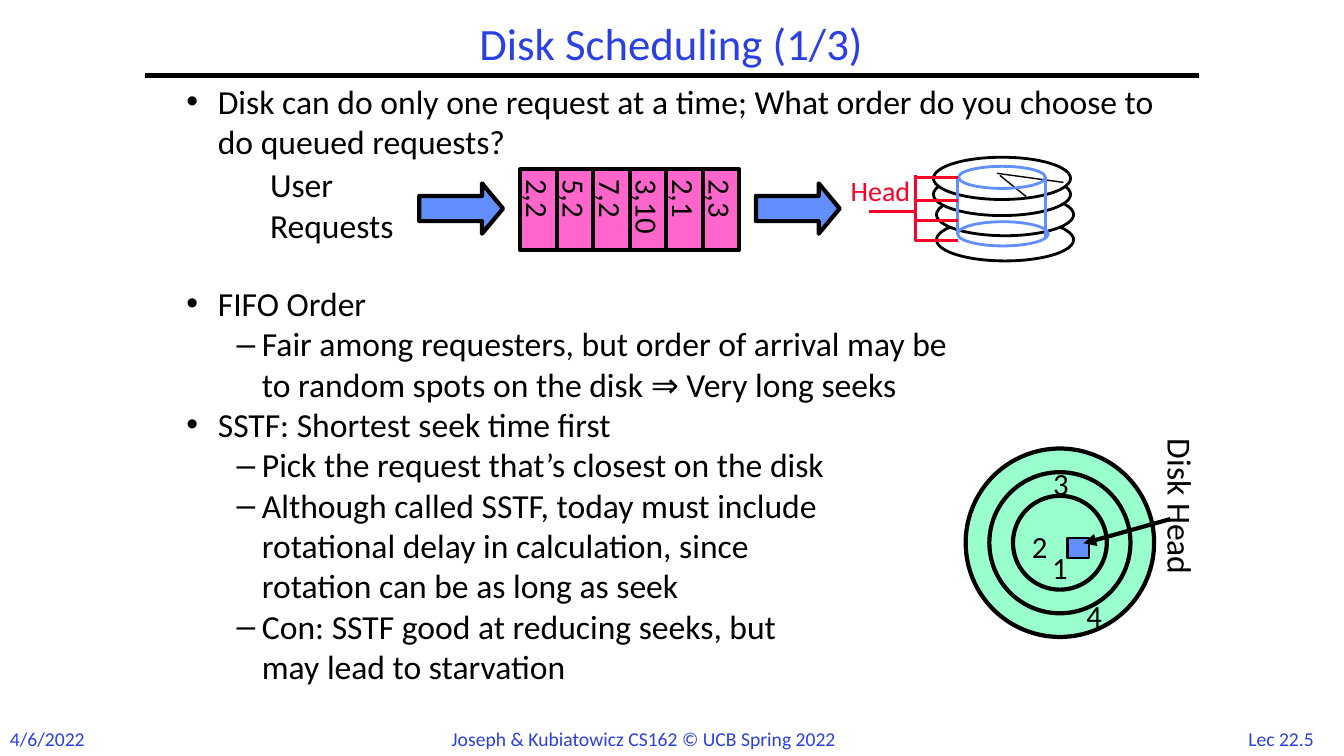
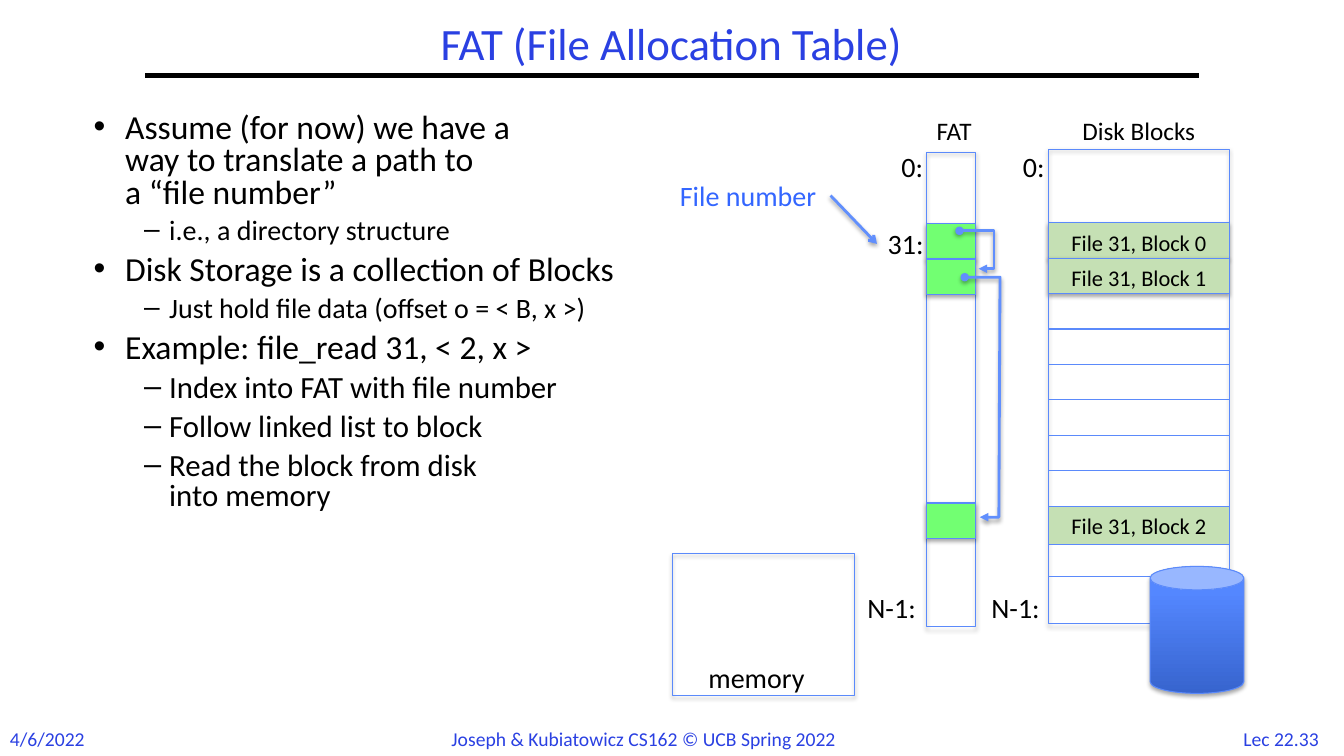
import pptx
import pptx.util
import pptx.dml.color
import pptx.enum.dml
import pptx.enum.shapes
import pptx.enum.text
import pptx.oxml.ns
import lxml.etree

Pt = pptx.util.Pt
SHAPE = pptx.enum.shapes.MSO_SHAPE
ALIGN = pptx.enum.text.PP_ALIGN
ANCHOR = pptx.enum.text.MSO_ANCHOR
qn = pptx.oxml.ns.qn

FONT = "Calibri"
COLORS = {
    "title": "2A40E2", "ink": "000000", "white": "FFFFFF", "pink": "FF66CC",
    "blue": "618FFD", "outline": "5B8AFB", "red": "FC0128", "mint": "99FFCC",
    "entry": "72FF72", "block": "C5E0B4", "link": "3366FF",
    "can_dark": "3764CE", "can_light": "5487FF",
}


def rgb(name):
    return pptx.dml.color.RGBColor.from_string(COLORS[name])


def inside(box, x, y, width=0, height=0):
    return box[0] + x, box[1] + y, width, height


def set_line(shape, color, width):
    shape.line.color.rgb = rgb(color)
    shape.line.width = Pt(width)


def set_ends(shape, head=None, tail=None):
    outline = shape.line._get_or_add_ln()
    for tag, kind in (("a:headEnd", head), ("a:tailEnd", tail)):
        if kind:
            lxml.etree.SubElement(outline, qn(tag), type=kind)


def set_shadow(shape, shown):
    properties = shape._element.spPr
    effects = properties.find(qn("a:effectLst"))
    if effects is None:
        effects = lxml.etree.SubElement(properties, qn("a:effectLst"))
    if shown:
        shadow = lxml.etree.SubElement(
            effects, qn("a:outerShdw"), blurRad=str(Pt(3.1)), dist=str(Pt(1.8)),
            dir="5400000", rotWithShape="0")
        tint = lxml.etree.SubElement(shadow, qn("a:srgbClr"), val=COLORS["ink"])
        lxml.etree.SubElement(tint, qn("a:alpha"), val="35000")


def style_para(para, size, color="ink", align=ALIGN.LEFT):
    para.alignment = align
    for span in para.runs:
        span.font.name = FONT
        span.font.size = Pt(size)
        span.font.color.rgb = rgb(color)


def fill_frame(frame, text, size, color, align, margins=(7.2, 3.6)):
    frame.margin_left = frame.margin_right = Pt(margins[0])
    frame.margin_top = frame.margin_bottom = Pt(margins[1])
    frame.text = text
    for para in frame.paragraphs:
        style_para(para, size, color, align)


def add_label(page, box, text, size, color="ink", align=ALIGN.CENTER, margins=(7.2, 3.6)):
    label = page.shapes.add_textbox(*map(Pt, box))
    fill_frame(label.text_frame, text, size, color, align, margins)
    label.text_frame.word_wrap = False
    label.text_frame.auto_size = pptx.enum.text.MSO_AUTO_SIZE.SHAPE_TO_FIT_TEXT
    return label


def add_shape(page, kind, box, fill=None, line="ink", width=3, shadow=False):
    shape = page.shapes.add_shape(kind, *map(Pt, box))
    shape.shadow.inherit = False
    if fill:
        shape.fill.solid()
        shape.fill.fore_color.rgb = rgb(fill)
    else:
        shape.fill.background()
    set_line(shape, line, width)
    set_shadow(shape, shadow)
    return shape


def add_cell(page, box, fill=None, shadow=False):
    return add_shape(page, SHAPE.RECTANGLE, box, fill, "outline", 0.75, shadow)


def add_line(page, box, start, end, color="ink", width=2, tail=None, shadow=False):
    points = [*inside(box, *start)[:2], *inside(box, *end)[:2]]
    line = page.shapes.add_connector(
        pptx.enum.shapes.MSO_CONNECTOR.STRAIGHT, *map(Pt, points))
    set_line(line, color, width)
    set_ends(line, tail=tail)
    set_shadow(line, shadow)


def add_link(page, box, points):
    corners = [tuple(map(Pt, inside(box, *point)[:2])) for point in points]
    builder = page.shapes.build_freeform(*corners[0])
    builder.add_line_segments(corners[1:], close=False)
    link = builder.convert_to_shape()
    link.shadow.inherit = False
    link.fill.background()
    set_line(link, "blue", 2)
    set_ends(link, "oval", "triangle")
    set_shadow(link, True)


def add_page(deck, title, number):
    page = deck.slides.add_slide(deck.slide_layouts[6])
    add_label(page, (876.2, 515.5, 77.8, 24), number, 14, "title")
    add_label(page, (0, 515.5, 69, 24.5), "4/6/2022", 14, "title", ALIGN.LEFT)
    add_label(page, (315.4, 515.5, 327.6, 24.5),
              "Joseph & Kubiatowicz CS162 © UCB Spring 2022", 14, "title", ALIGN.LEFT)
    add_line(page, (103.7, 54), (0, 0), (752.4, 0), width=3)
    heading = page.shapes.add_textbox(*map(Pt, (103.7, 12.2, 751.7, 41.8)))
    frame = heading.text_frame
    frame.word_wrap = True
    frame.vertical_anchor = ANCHOR.MIDDLE
    fill_frame(frame, title, 32, "title", ALIGN.CENTER)
    frame.paragraphs[0].line_spacing = 0.9
    return page


def add_bullets(page, box, items, spacing=1.0):
    frame = page.shapes.add_textbox(*map(Pt, box)).text_frame
    frame.word_wrap = True
    for index, (level, size, before, text) in enumerate(items):
        para = frame.add_paragraph() if index else frame.paragraphs[0]
        para.text = text
        para.level = level
        para.line_spacing = spacing
        para.space_before = Pt(before)
        style_para(para, size)
        left, hang, mark = ((22.5, 22.5, "•"), (54, 18, "–"))[level]
        properties = para._p.get_or_add_pPr()
        properties.set("marL", str(Pt(left)))
        properties.set("indent", str(-Pt(hang)))
        lxml.etree.SubElement(properties, qn("a:buFont"), typeface="Arial")
        lxml.etree.SubElement(properties, qn("a:buChar"), char=mark)


def draw_queue(page, box, requests):
    left, top, width, height = box
    step = width / len(requests)
    for index, request in enumerate(requests):
        cell = add_shape(page, SHAPE.RECTANGLE, (left + index * step, top, step, height), "pink")
        frame = cell.text_frame
        fill_frame(frame, request, 22, "ink", ALIGN.LEFT)
        frame.word_wrap = False
        frame.vertical_anchor = ANCHOR.MIDDLE
        frame._txBody.bodyPr.set("vert", "eaVert")


def draw_arrow(page, box):
    arrow = add_shape(page, SHAPE.RIGHT_ARROW, box, "blue")
    arrow.adjustments[0] = 0.5
    arrow.adjustments[1] = 0.417


def draw_platters(page, box):
    for x, y in ((68.9, 46.2), (68.9, 28.2), (66.7, 13.8), (66.7, 2.3)):
        add_shape(page, SHAPE.OVAL, inside(box, x, y, 98, 30.2), "white", width=2)
    add_line(page, box, (114.2, 15.3), (133, 30.4), width=1)
    add_line(page, box, (112.1, 13.8), (159.6, 20.3), width=1)
    for oval in ((84, 48.4, 64.8, 17.3), (84.7, 8.8, 62, 15.8)):
        add_shape(page, SHAPE.OVAL, inside(box, *oval), None, "blue", 2)
    for x, bottom in ((84, 57), (146.6, 59.9)):
        add_line(page, box, (x, 16.7), (x, bottom), "blue")
    head = add_label(page, inside(box, 2.6, 15.3, 58.3, 24.5), "Head", 20, "red",
                     ALIGN.LEFT, (5, 2.2))
    head.text_frame.paragraphs[0].line_spacing = 0.85
    add_line(page, box, (53.8, 15.3), (53.8, 62), "red")
    for y in (16.7, 33.3, 47.7, 62):
        add_line(page, box, (53.8, y), (84, y), "red")
    add_line(page, box, (54.5, 41.2), (20.6, 41.2), "red")


def draw_tracks(page, box):
    for ring in range(3):
        inset = ring * 16.9
        size = box[2] - 2 * inset
        add_shape(page, SHAPE.OVAL, inside(box, inset, inset, size, size), "mint")
    add_shape(page, SHAPE.RECTANGLE, inside(box, 72.7, 64.1, 15.1, 14.4), "blue", width=1.5)
    for text, x, y in (("1", 54.7, 67.7), ("4", 79.2, 102.2), ("2", 40.3, 53.3), ("3", 55.4, 7.9)):
        add_label(page, inside(box, x, y, 26.6, 33.8), text, 22, align=ALIGN.LEFT)
    caption = add_label(page, inside(box, 90.7, 31, 126, 36), "Disk Head", 24, align=ALIGN.LEFT)
    caption.rotation = 90
    add_line(page, box, (146.2, 50.4), (84.2, 67.7), width=3, tail="triangle")


def draw_fat(page, box):
    width, row = box[2], 25.3
    add_cell(page, box, shadow=True)
    for y in (51.1, 76.3, 250.6):
        add_cell(page, inside(box, 0, y, width, row), "entry", True)
    add_label(page, inside(box, -3.6, -30.2, 46.8, 28.8), "FAT", 18)
    for text, x, y, span_width in (
            ("0:", -25.9, -5.7, 31.7), ("31:", -36, 49.7, 42.5), ("N-1:", -51.1, 309.6, 52.6)):
        add_label(page, inside(box, x, y, span_width, 31.7), text, 20)
    add_label(page, inside(box, -187.9, 15.1, 121, 31.7), "File number", 20, "link")
    add_line(page, box, (-68.4, 31), (-35.3, 65.5), "blue", tail="arrow", shadow=True)
    add_link(page, box, ((23.7, 56.2), (48.3, 56.2), (48.3, 83.3), (37.4, 83.3)))
    add_link(page, box, ((27.4, 89.3), (52.6, 89.3), (51.8, 260.7), (38.2, 260.7)))


def draw_disk_blocks(page, box):
    width, first, row = box[2], 52.5, 25.3
    file_blocks = {0: "File 31, Block 0", 1: "File 31, Block 1", 8: "File 31, Block 2"}
    add_cell(page, box, shadow=True)
    for index in range(8):
        fill = "block" if index in file_blocks else None
        add_cell(page, inside(box, 0, first + index * row, width, row), fill, index < 2)
    add_cell(page, inside(box, 0, first + 8 * row, width, 27.3), "block")
    add_cell(page, inside(box, 0, first + 8 * row + 27.3, width, 23))
    for index, text in file_blocks.items():
        add_label(page, inside(box, 0, first + index * row + 0.7, width, 26.6), text, 16)
    add_label(page, inside(box, 2.9, -28.1, 123.1, 28.8), "Disk Blocks", 18)
    add_label(page, inside(box, -27.4, -3.6, 33.8, 31.7), "0:", 20)
    add_label(page, inside(box, -50.6, 311.7, 54, 31.7), "N-1:", 20)


def draw_memory(page, box):
    add_cell(page, box, shadow=True)
    add_label(page, inside(box, 16.6, 72.7, 87.1, 31.7), "memory", 20)


def draw_can(page, box):
    can = add_shape(page, SHAPE.CAN, box, None, "outline", 0.75, True)
    can.fill.gradient()
    can.fill.gradient_angle = 90
    for stop, color, position in zip(can.fill.gradient_stops, ("can_dark", "can_light"), (0, 0.8)):
        stop.color.rgb = rgb(color)
        stop.position = position


def build_scheduling(deck):
    page = add_page(deck, "Disk Scheduling (1/3)", "Lec 22.5")
    add_bullets(page, (126, 54, 714.2, 473.8), (
        (0, 24, 0, "Disk can do only one request at a time; What order do you choose to "
                   "do queued requests?"),
        (0, 24, 87, "FIFO Order"),
        (1, 24, 0, "Fair among requesters, but order of arrival may be\n"
                   "to random spots on the disk ⇒ Very long seeks"),
        (0, 24, 0, "SSTF: Shortest seek time first"),
        (1, 24, 0, "Pick the request that’s closest on the disk"),
        (1, 24, 0, "Although called SSTF, today must include\n"
                   "rotational delay in calculation, since\nrotation can be as long as seek"),
        (1, 24, 0, "Con: SSTF good at reducing seeks, but\nmay lead to starvation"),
    ))
    add_label(page, (185.8, 113.8, 116.6, 65.5), "User\nRequests", 24, align=ALIGN.LEFT)
    draw_queue(page, (371.5, 121, 156.6, 57.6), ("2,2", "5,2", "7,2", "3,10", "2,1", "2,3"))
    for left in (299.5, 540):
        draw_arrow(page, (left, 131, 59.8, 36))
    draw_platters(page, (600, 110, 175, 80))
    draw_tracks(page, (689.8, 320.4, 134.6, 134.6))


def build_fat(deck):
    page = add_page(deck, "FAT (File Allocation Table)", "Lec 22.33")
    items = (
        (0, 24, "Assume (for now) we have a\nway to translate a path to\na “file number”"),
        (1, 20, "i.e., a directory structure"),
        (0, 24, "Disk Storage is a collection of Blocks"),
        (1, 20, "Just hold file data (offset o = < B, x >)"),
        (0, 24, "Example: file_read 31, < 2, x >"),
        (1, 22, "Index into FAT with file number"),
        (1, 22, "Follow linked list to block"),
        (1, 22, "Read the block from disk\ninto memory"),
    )
    add_bullets(page, (59.8, 77.8, 405.4, 342.7),
                [(level, size, 0.3 * size, text) for level, size, text in items], 0.8)
    draw_disk_blocks(page, (749, 106.6, 129, 339))
    draw_fat(page, (661.7, 108.7, 35.3, 339))
    draw_memory(page, (480.2, 395.3, 130.3, 101.5))
    draw_can(page, (821.5, 404.6, 67, 90.7))


def main():
    deck = pptx.Presentation()
    deck.slide_width, deck.slide_height = Pt(960), Pt(540)
    build_scheduling(deck)
    build_fat(deck)
    deck.save("out.pptx")


if __name__ == "__main__":
    main()
